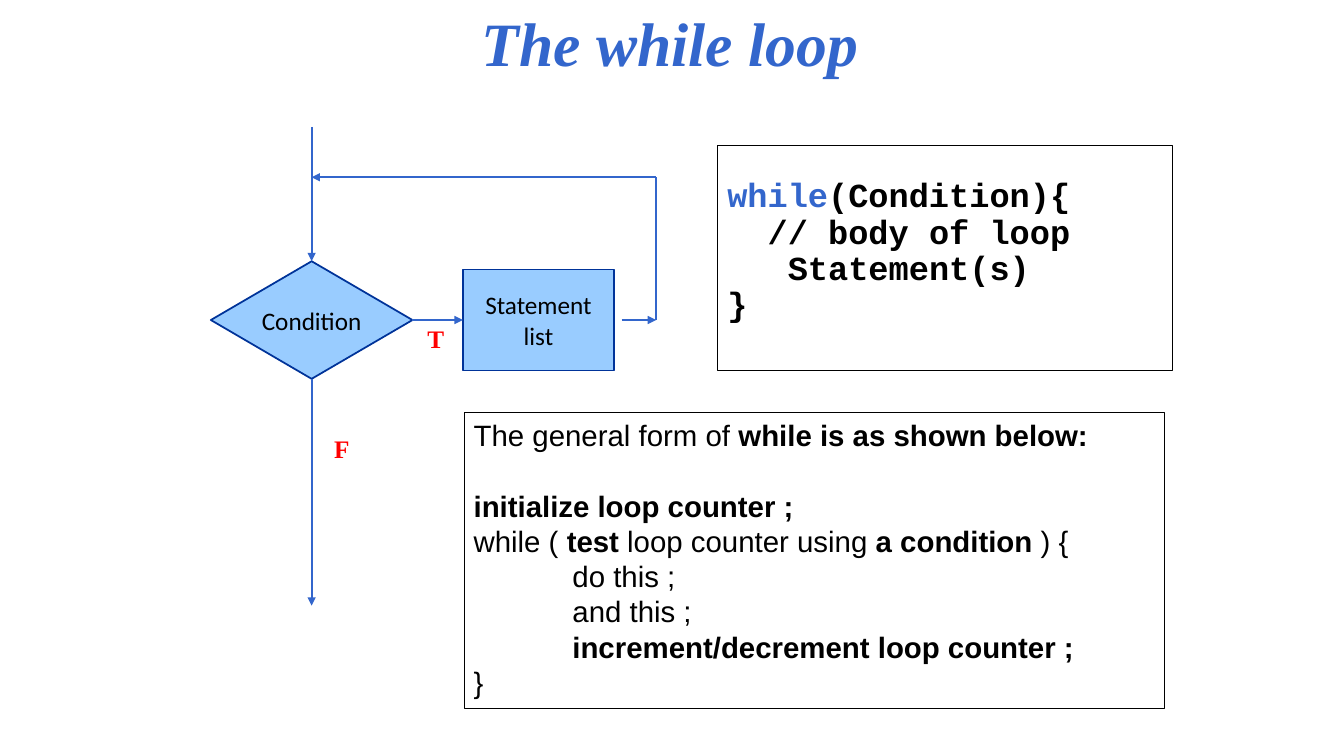
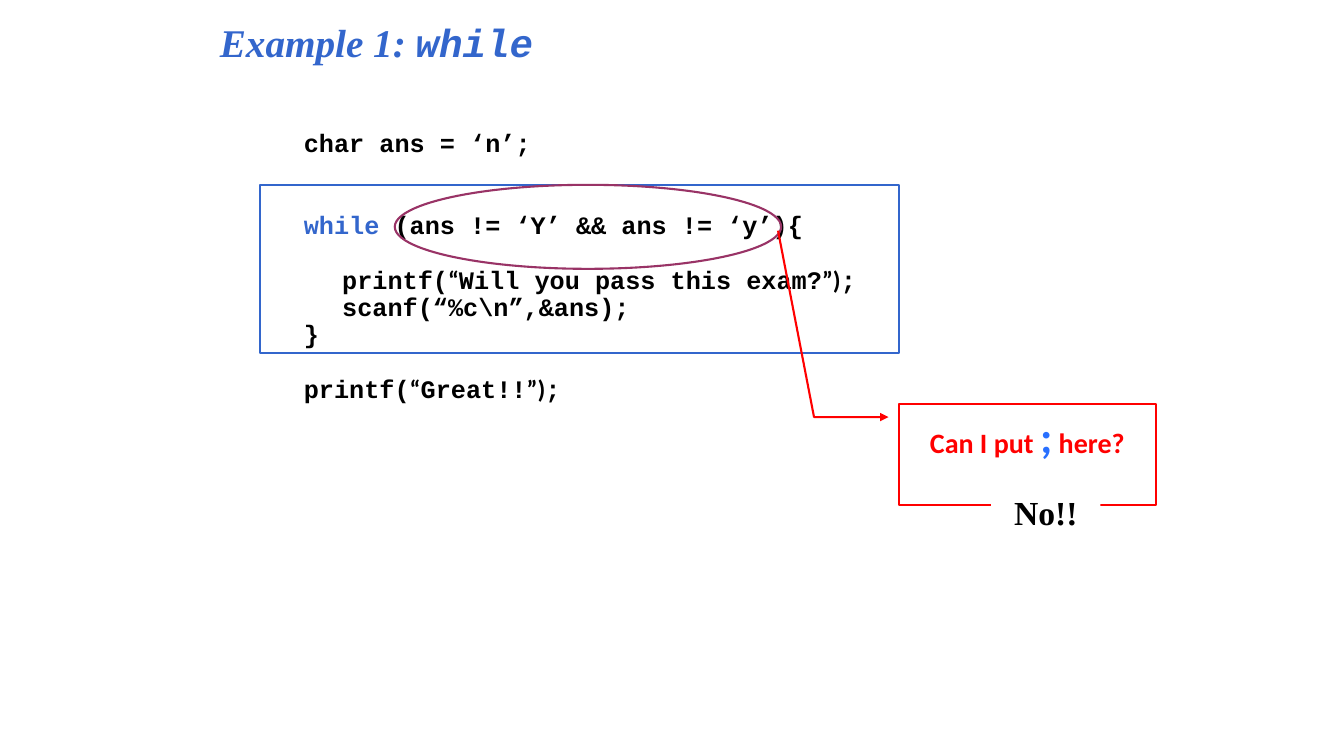
from lxml.etree import SubElement
from pptx import Presentation
from pptx.dml.color import RGBColor
from pptx.enum.shapes import MSO_CONNECTOR, MSO_SHAPE as SHAPE
from pptx.enum.text import MSO_ANCHOR as ANCHOR, PP_ALIGN as ALIGN
from pptx.oxml.ns import qn
from pptx.util import Inches, Pt

prs = Presentation()
prs.slide_width, prs.slide_height = Inches(13.33), Inches(7.5)
COLS, ROWS = 160, 90
col, row = prs.slide_width / COLS, prs.slide_height / ROWS
rgb = RGBColor.from_string

BLUE, NAVY, SKY, PLUM = "3366CC", "003399", "99CCFF", "993366"
RED, BLACK, WHITE, BRIGHT = "FF0000", "000000", "FFFFFF", "2970FF"
SERIF, SANS, MONO, BODY = "Times New Roman", "Arial", "Courier New", "Calibri"
TITLE = dict(font=SERIF, color=BLUE, bold=True, italic=True)
LABEL = dict(font=SERIF, size=18, color=RED, bold=True)
FLOW = dict(font=BODY, size=18)


def box(s, kind, at, fill=None, line=None, width=1.5):
    x, y, w, h = at
    place = [round(v) for v in (x * col, y * row, w * col, h * row)]
    if kind is None:
        return s.shapes.add_textbox(*place)
    sp = s.shapes.add_shape(kind, *place)
    sp.shadow.inherit = False
    if fill:
        sp.fill.solid()
        sp.fill.fore_color.rgb = rgb(fill)
    else:
        sp.fill.background()
    if line:
        sp.line.color.rgb = rgb(line)
        sp.line.width = Pt(width)
    else:
        sp.line.fill.background()
    return sp


def write(sp, paras, style, align=ALIGN.LEFT, anchor=ANCHOR.TOP, wrap=True, spacing=None):
    tf = sp.text_frame
    tf.word_wrap = wrap
    tf.vertical_anchor = anchor
    for i, (indent, before, runs) in enumerate(paras):
        p = tf.paragraphs[0] if i == 0 else tf.add_paragraph()
        p.alignment = align
        p.line_spacing = spacing
        p.space_before = Pt(before)
        if indent:
            pr = p._p.get_or_add_pPr()
            pr.set("marL", str(Inches(indent)))
            pr.set("indent", "0")
        for text, change in runs:
            look = {**style, **change}
            r = p.add_run()
            r.text = text
            r.font.name = look["font"]
            r.font.size = Pt(look["size"])
            r.font.bold = look.get("bold", False)
            r.font.italic = look.get("italic", False)
            r.font.color.rgb = rgb(look.get("color", BLACK))


blank = prs.slide_layouts[6]
bold = dict(bold=True)
keyword = dict(color=BLUE)

s = prs.slides.add_slide(blank)
write(box(s, None, (20, 0, 119.6, 10)), [(0, 0, [("The while loop", {})])],
      {**TITLE, "size": 44}, ALIGN.CENTER, ANCHOR.MIDDLE)

axis, flow_y, back_x, back_y = 37.1, 38.1, 78.1, 21.1
for kind, at, words in [
    (SHAPE.FLOWCHART_DECISION, (axis - 12, 31.1, 24, 14), ["Condition"]),
    (SHAPE.FLOWCHART_PROCESS, (55.1, 32.1, 18, 12), ["Statement", "list"]),
]:
    write(box(s, kind, at, SKY, NAVY, 1.25), [(0, 0, [(w, {})]) for w in words],
          FLOW, ALIGN.CENTER, ANCHOR.MIDDLE, False)
for letter, x, y in [("T", 49.7, 37.9), ("F", 38.6, 51)]:
    write(box(s, None, (x, y, 4.3, 4.8)), [(0, 0, [(letter, {})])], LABEL, wrap=False)

for x1, y1, x2, y2, arrow in [
    (axis, 15.1, axis, 31.1, True),
    (axis + 12, flow_y, 55.1, flow_y, True),
    (axis, 45.1, axis, 72.1, True),
    (74, flow_y, back_x, flow_y, True),
    (back_x, flow_y, back_x, back_y, False),
    (back_x, back_y, axis, back_y, True),
]:
    ends = [round(v) for v in (x1 * col, y1 * row, x2 * col, y2 * row)]
    c = s.shapes.add_connector(MSO_CONNECTOR.STRAIGHT, *ends)
    c.line.color.rgb = rgb(BLUE)
    c.line.width = Pt(1.5)
    if arrow:
        SubElement(c.line._get_or_add_ln(), qn("a:tailEnd"), type="triangle")
    SubElement(c._element.spPr, qn("a:effectLst"))

sp = box(s, SHAPE.RECTANGLE, (85.4, 17.3, 54.2, 26.8), line=BLACK, width=1)
sp.text_frame.margin_top = round(4 * row)
write(sp, [
    (0, 0, [("while", keyword), ("(Condition){", {})]),
    (0.4, 0, [("// body of loop", {})]),
    (0.6, 0, [("Statement(s)", {})]),
    (0, 0, [("}", {})]),
], dict(font=MONO, size=24, bold=True), spacing=0.9)

write(box(s, SHAPE.RECTANGLE, (55.2, 49.1, 83.4, 35.2), WHITE, BLACK, 0.25), [
    (0, 0, [("The general form of ", {}), ("while is as shown below:", bold)]),
    (0, 25, [("initialize loop counter ;", bold)]),
    (0, 0, [("while ( ", {}), ("test", bold), (" loop counter using ", {}),
            ("a condition ", bold), (") {", {})]),
    (0.98, 0, [("do this ;", {})]),
    (0.98, 0, [("and this ;", {})]),
    (0.98, 0, [("increment/decrement loop counter ;", bold)]),
    (0, 0, [("}", {})]),
], dict(font=SANS, size=21))

s = prs.slides.add_slide(blank)
write(box(s, None, (25, 3, 96, 4)),
      [(0, 0, [("Example 1: ", {}), ("while", dict(font=MONO))])],
      {**TITLE, "size": 28}, anchor=ANCHOR.MIDDLE)

quote = dict(font=BODY)
write(box(s, None, (35, 15, 83, 39)), [
    (0, 0, [("char ans = ‘n’;", {})]),
    (0, 39, [("while", keyword), (" (ans != ‘Y’ && ans != ‘y’){", {})]),
    (0.38, 19.5, [("printf(", {}), ("“", quote), ("Will you pass this exam?", {}),
                  ("”)", quote), (";", {})]),
    (0.38, 0, [("scanf(“%c\\n”,&ans);", {})]),
    (0, 0, [("}", {})]),
    (0, 19.5, [("printf(", {}), ("“", quote), ("Great!!", {}), ("”)", quote), (";", {})]),
], dict(font=MONO, size=18, bold=True), spacing=0.9)

box(s, SHAPE.RECTANGLE, (31, 22, 76, 20), line=BLUE)
box(s, SHAPE.OVAL, (47, 22, 46, 10), line=PLUM)

sp = box(s, SHAPE.LINE_CALLOUT_2, (107, 48.1, 30.6, 12), line=RED)
for i, share in enumerate([0.13, -0.04, 0.13, -0.33, -1.72, -0.47]):
    sp.adjustments[i] = share
SubElement(sp.line._get_or_add_ln(), qn("a:headEnd"), type="triangle")
write(sp, [(0, 0, [("Can I put ", {}), (";", dict(size=32, color=BRIGHT)), (" here?", {})])],
      dict(font=BODY, size=20, color=RED, bold=True), ALIGN.CENTER)
write(box(s, SHAPE.RECTANGLE, (118, 58, 13, 6), WHITE), [(0, 0, [("No!!", {})])],
      dict(font=SERIF, size=24, bold=True), ALIGN.CENTER)

prs.save("out.pptx")
